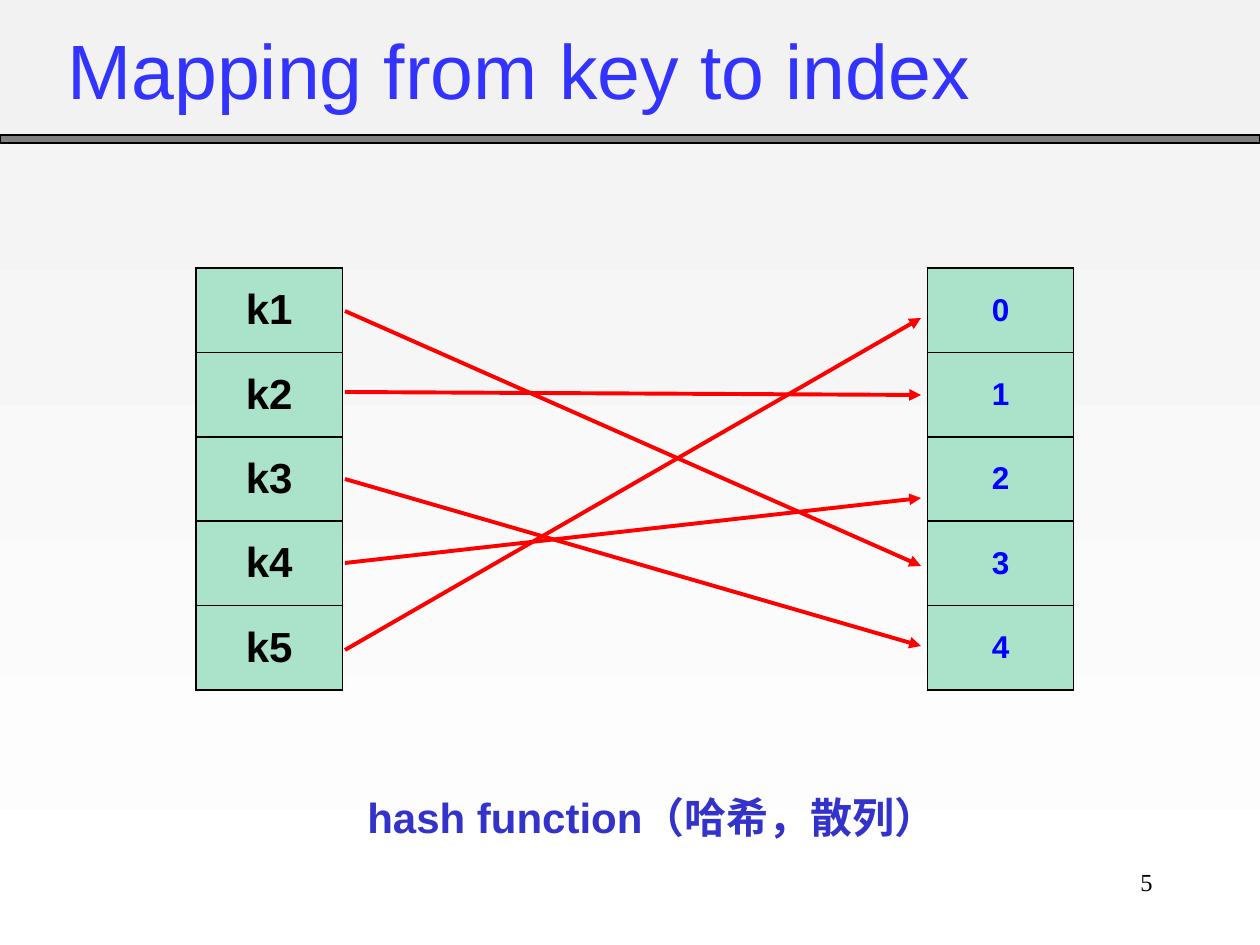
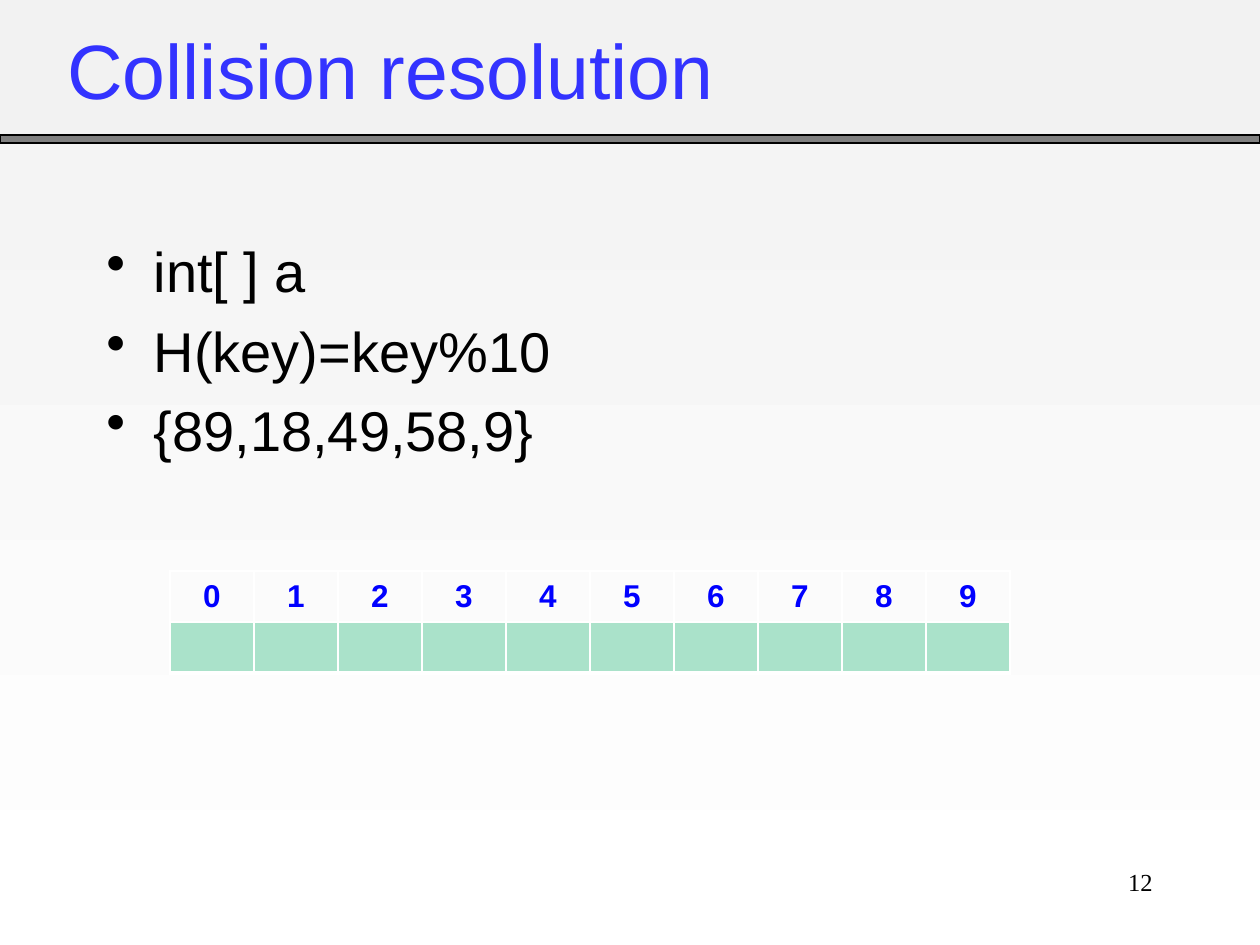
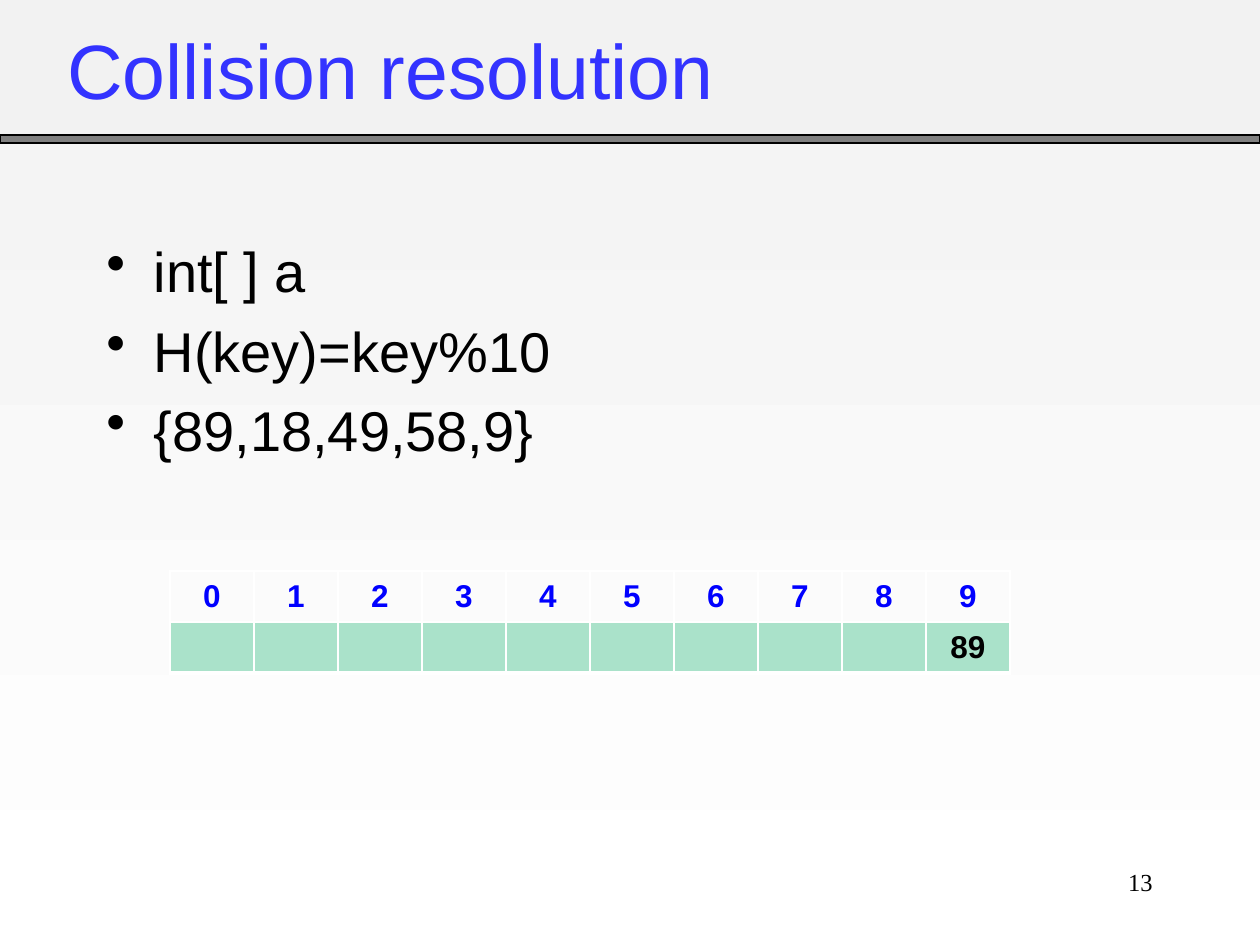
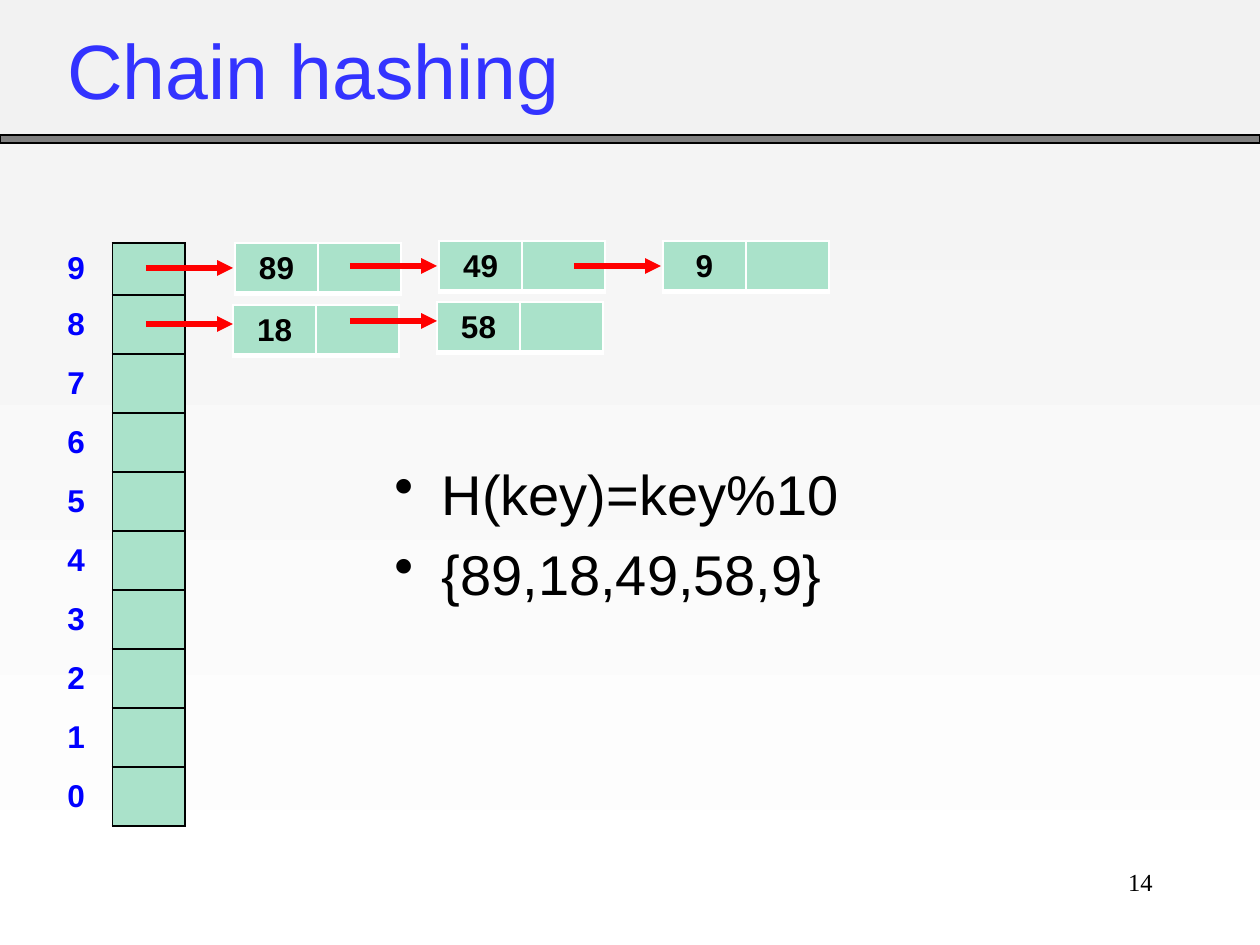
from pptx import Presentation, util as u
from pptx.dml.color import RGBColor
from pptx.enum import shapes, text
from pptx.oxml import parse_xml
from pptx.oxml.ns import nsdecls, qn
from lxml import etree

PX = 914400 / 126  # one px in EMU
NO_STYLE = "{2D5ABB26-0587-4C30-8999-92F81FD0307C}"


class Theme:
    top, bottom = "F2F2F2", "FFFFFF"
    bar, black, white, red, green = "808080", "000000", "FFFFFF", "FF0000", "AAE2CA"
    # text styles: size, font, colour, bold
    title = (44, "Arial", "3333FF", False)
    body = (32, "Arial", black, False)
    number = (14, "Times New Roman", black, False)
    caption = (24, "Arial", "3333CC", True)
    key = (24, "Arial", black, True)
    value = (18, "Arial", black, True)
    index = (18, "Arial", "0000FF", True)
    # cell kinds: text style, filled, bordered
    cells = {"key": (key, True, True), "slot": (index, True, True),
             "value": (value, True, True), "head": (index, False, True),
             "label": (index, False, False), "gap": (value, False, False)}


def write(tf, lines, style, align=text.PP_ALIGN.LEFT, bullet=False):
    size, font, colour, bold = style
    for i, line in enumerate(lines):
        p = tf.paragraphs[0] if i == 0 else tf.add_paragraph()
        p.alignment = align
        if bullet:
            pPr = p._p.get_or_add_pPr()
            pPr.set("marL", "342900")
            pPr.set("indent", "-342900")
            etree.SubElement(pPr, qn("a:buChar")).set("char", "•")
            if i:
                p.space_before = u.Pt(7)
        r = p.add_run()
        r.text = line
        r.font.size, r.font.name, r.font.bold = u.Pt(size), font, bold
        r.font.color.rgb = RGBColor.from_string(colour)


def table(s, at, cells, line, base=1):
    """Equal rows and columns; cells hold (kind, text); base is the bottom line width."""
    n_rows, n_cols = len(cells), len(cells[0])
    tbl = s.shapes.add_table(n_rows, n_cols, *[round(n * PX) for n in at]).table
    tbl.first_row = tbl.horz_banding = False
    tbl._tbl.tblPr.find(qn("a:tableStyleId")).text = NO_STYLE
    for i, row in enumerate(cells):
        for j, (kind, label) in enumerate(row):
            style, filled, bordered = Theme.cells[kind]
            cell = tbl.cell(i, j)
            cell.vertical_anchor = text.MSO_ANCHOR.MIDDLE
            for side in "LRTB" if bordered else "":
                width = base if side == "B" and i == n_rows - 1 else 1
                cell._tc.get_or_add_tcPr().append(parse_xml(
                    f'<a:ln{side} {nsdecls("a")} w="{width * 12700}"><a:solidFill>'
                    f'<a:srgbClr val="{line}"/></a:solidFill></a:ln{side}>'))
            if filled:
                cell.fill.solid()
                cell.fill.fore_color.rgb = RGBColor.from_string(Theme.green)
            else:
                cell.fill.background()
            if label:
                write(cell.text_frame, [label], style, text.PP_ALIGN.CENTER)
    return tbl


prs = Presentation()
prs.slide_width, prs.slide_height = round(1260 * PX), round(945 * PX)

# Slides: title, page number, bullets and their place
formula = ["H(key)=key%10", "{89,18,49,58,9}"]
left, centre, right = text.PP_ALIGN.LEFT, text.PP_ALIGN.CENTER, text.PP_ALIGN.RIGHT
wide = (94, 224, 1071, 261)
pages = [("Mapping from key to index", "5", None, None),
         ("Collision resolution", "12", ["int[ ] a"] + formula, wide),
         ("Collision resolution", "13", ["int[ ] a"] + formula, wide),
         ("Chain hashing", "14", formula, (382, 447, 578, 261))]

for title, number, bullets, place in pages:
    s = prs.slides.add_slide(prs.slide_layouts[6])

    # Background and bar
    fill = s.background.fill
    fill.gradient()
    fill.gradient_angle = 270
    for stop, colour in zip(fill.gradient_stops, (Theme.top, Theme.bottom)):
        stop.color.rgb = RGBColor.from_string(colour)
    sp = s.shapes.add_shape(shapes.MSO_SHAPE.RECTANGLE,
                            *[round(n * PX) for n in (0, 135, 1260, 8)])
    sp.shadow.inherit = False
    sp.fill.solid()
    sp.fill.fore_color.rgb = RGBColor.from_string(Theme.bar)
    sp.line.color.rgb = RGBColor.from_string(Theme.black)
    sp.line.width = u.Pt(0.75)

    # Title, page number, bullets and caption
    boxes = [((55, 13, 1071, 112), [title], Theme.title, left),
             ((903, 861, 262, 63), [number], Theme.number, right)]
    if bullets:
        boxes.append((place, bullets, Theme.body, left))
    else:
        boxes.append(((271, 785, 762, 64), ["hash function（哈希，散列）"],
                      Theme.caption, centre))
    for at, lines, style, align in boxes:
        tf = s.shapes.add_textbox(*[round(n * PX) for n in at]).text_frame
        tf.word_wrap = True
        if style is Theme.title:
            tf.vertical_anchor = text.MSO_ANCHOR.MIDDLE
        if style is Theme.body:
            tf.margin_top = u.Inches(0.1)
        write(tf, lines, style, align, bullet=style is Theme.body)

mapping, empty, first, chain = prs.slides

# Keys and indexes
table(mapping, (196, 268, 878, 422),
      [[("key", f"k{i + 1}")] + [("gap", "")] * 4 + [("slot", str(i))] for i in range(5)],
      Theme.black)

# Hash table before and after the first key
for s, last in ((empty, ""), (first, "89")):
    table(s, (170, 571, 840, 102),
          [[("head", str(i)) for i in range(10)],
           [("value", "")] * 9 + [("value", last)]], Theme.white, 3)

# Buckets, with a lower first row
buckets = table(chain, (40, 243, 145, 590),
                [[("label", str(i)), ("value", "")] for i in range(9, -1, -1)],
                Theme.black)
buckets.rows[0].height = round(52 * PX)

# Chain nodes
for x, y, key in ((235, 243, "89"), (233, 305, "18"), (439, 241, "49"),
                  (663, 241, "9"), (437, 302, "58")):
    table(chain, (x, y, 166, 50), [[("value", key), ("value", "")]], Theme.white, 3)

# Arrows: slide, start, end, width
arrows = [(mapping, 345, y1, 921, y2, 2.25) for y1, y2 in
          ((311, 566), (392, 395), (479, 646), (563, 498), (650, 318))]
arrows += [(chain, x, y, x + 87, y, 3) for x, y in
           ((350, 266), (350, 321), (574, 266), (146, 268), (146, 324))]
for s, x1, y1, x2, y2, width in arrows:
    line = s.shapes.add_connector(shapes.MSO_CONNECTOR.STRAIGHT,
                                  *[round(n * PX) for n in (x1, y1, x2, y2)])
    line.line.color.rgb = RGBColor.from_string(Theme.red)
    line.line.width = u.Pt(width)
    etree.SubElement(line.line._get_or_add_ln(), qn("a:tailEnd")).set("type", "triangle")
    etree.SubElement(line._element.spPr, qn("a:effectLst"))

prs.save("out.pptx")
